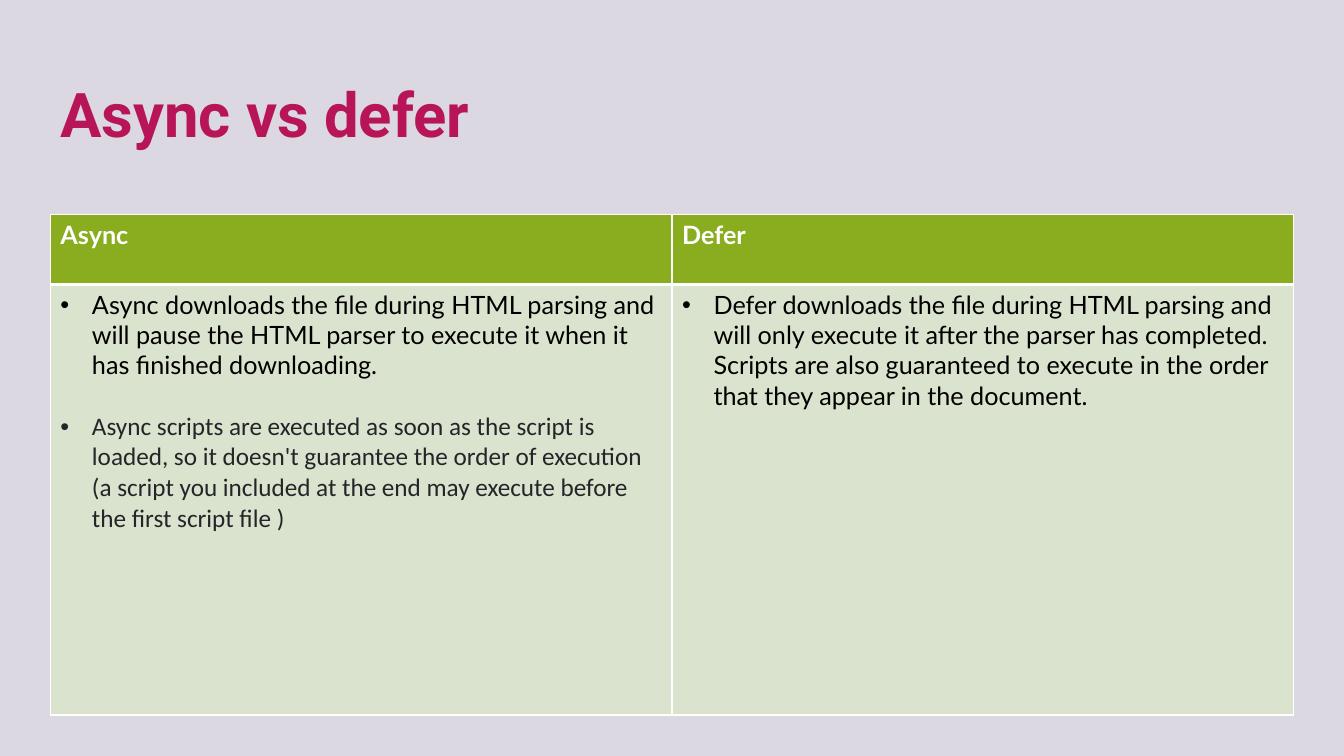
from dataclasses import dataclass

from lxml.etree import SubElement
from pptx import Presentation
from pptx.dml.color import RGBColor
from pptx.enum.text import MSO_ANCHOR
from pptx.oxml.ns import qn
from pptx.util import Pt

EMU_PER_PX = 9525


@dataclass(frozen=True)
class Theme:
    background: str = "DBD8E1"
    title: str = "B71558"
    header_fill: str = "89AD1F"
    body_fill: str = "DAE3CD"
    white: str = "FFFFFF"
    black: str = "000000"
    dark: str = "232629"
    title_font: str = "Roboto"
    table_font: str = "Lato"
    note_font: str = "Calibri"
    title_size: int = 44
    table_size: int = 18
    thin: int = 1
    thick: int = 3


def px(n):
    return n * EMU_PER_PX


def add_text(p, text, *, font, size, color, bold=False, bullet=False, before=0):
    p.space_before = Pt(before)
    if bullet:
        pPr = p._p.get_or_add_pPr()
        pPr.set("marL", str(px(30)))
        pPr.set("indent", str(-px(30)))
        SubElement(pPr, qn("a:buFont"), typeface="Arial")
        SubElement(pPr, qn("a:buChar"), char="•")
    r = p.add_run()
    r.text = text
    r.font.name = font
    r.font.size = Pt(size)
    r.font.bold = bold
    r.font.color.rgb = RGBColor.from_string(color)


def set_borders(cell, color, **widths):
    """Draw the sides L, R, T and B, with widths in points."""
    tcPr = cell._tc.get_or_add_tcPr()
    for side in "LRTB":
        ln = SubElement(tcPr, qn(f"a:ln{side}"), w=str(Pt(widths[side])))
        SubElement(SubElement(ln, qn("a:solidFill")), qn("a:srgbClr"), val=color)


class SlideBuilder:
    def __init__(self, prs, theme):
        self.theme = theme
        self.slide = prs.slides.add_slide(prs.slide_layouts[6])
        fill = self.slide.background.fill
        fill.solid()
        fill.fore_color.rgb = RGBColor.from_string(theme.background)

    def title(self, text, x, y, w, h):
        t = self.theme
        tf = self.slide.shapes.add_textbox(px(x), px(y), px(w), px(h)).text_frame
        tf.word_wrap = True
        tf.vertical_anchor = MSO_ANCHOR.MIDDLE
        add_text(tf.paragraphs[0], text, font=t.title_font, size=t.title_size,
                 color=t.title, bold=True)

    def cell(self, cell, paragraphs, fill, top, bottom):
        t = self.theme
        set_borders(cell, t.white, L=t.thin, R=t.thin, T=top, B=bottom)
        cell.fill.solid()
        cell.fill.fore_color.rgb = RGBColor.from_string(fill)
        tf = cell.text_frame
        for i, (text, style) in enumerate(paragraphs):
            p = tf.add_paragraph() if i else tf.paragraphs[0]
            add_text(p, text, size=t.table_size, **style)

    def comparison(self, columns, x, y, w, row_heights):
        """Add a table from (heading, body paragraphs) pairs."""
        t = self.theme
        table = self.slide.shapes.add_table(
            len(row_heights), len(columns), px(x), px(y), px(w),
            px(sum(row_heights))).table
        table.horz_banding = False
        for row, height in zip(table.rows, row_heights):
            row.height = px(height)
        heading_style = dict(font=t.table_font, color=t.white, bold=True)
        for c, (heading, body) in enumerate(columns):
            table.columns[c].width = px(w // len(columns))
            self.cell(table.cell(0, c), [(heading, heading_style)],
                      t.header_fill, t.thin, t.thick)
            self.cell(table.cell(1, c), body, t.body_fill, t.thick, t.thin)


def main():
    prs = Presentation()
    prs.slide_width, prs.slide_height = px(1280), px(720)
    theme = Theme()
    point = dict(font=theme.table_font, color=theme.black, bullet=True)
    note = dict(font=theme.note_font, color=theme.dark, bullet=True, before=22)
    columns = [
        ("Async", [
            ("Async downloads the file during HTML parsing and will pause the HTML "
             "parser to execute it when it has finished downloading.", point),
            ("Async scripts are executed as soon as the script is loaded, so it "
             "doesn't guarantee the order of execution (a script you included at "
             "the end may execute before the first script file )", note),
        ]),
        ("Defer", [
            ("Defer downloads the file during HTML parsing and will only execute it "
             "after the parser has completed. Scripts are also guaranteed to execute "
             "in the order that they appear in the document.", point),
        ]),
    ]
    s = SlideBuilder(prs, theme)
    s.title("Async vs defer", 48, 38, 1144, 139)
    s.comparison(columns, 48, 204, 1184, [67, 410])
    prs.save("out.pptx")


if __name__ == "__main__":
    main()
